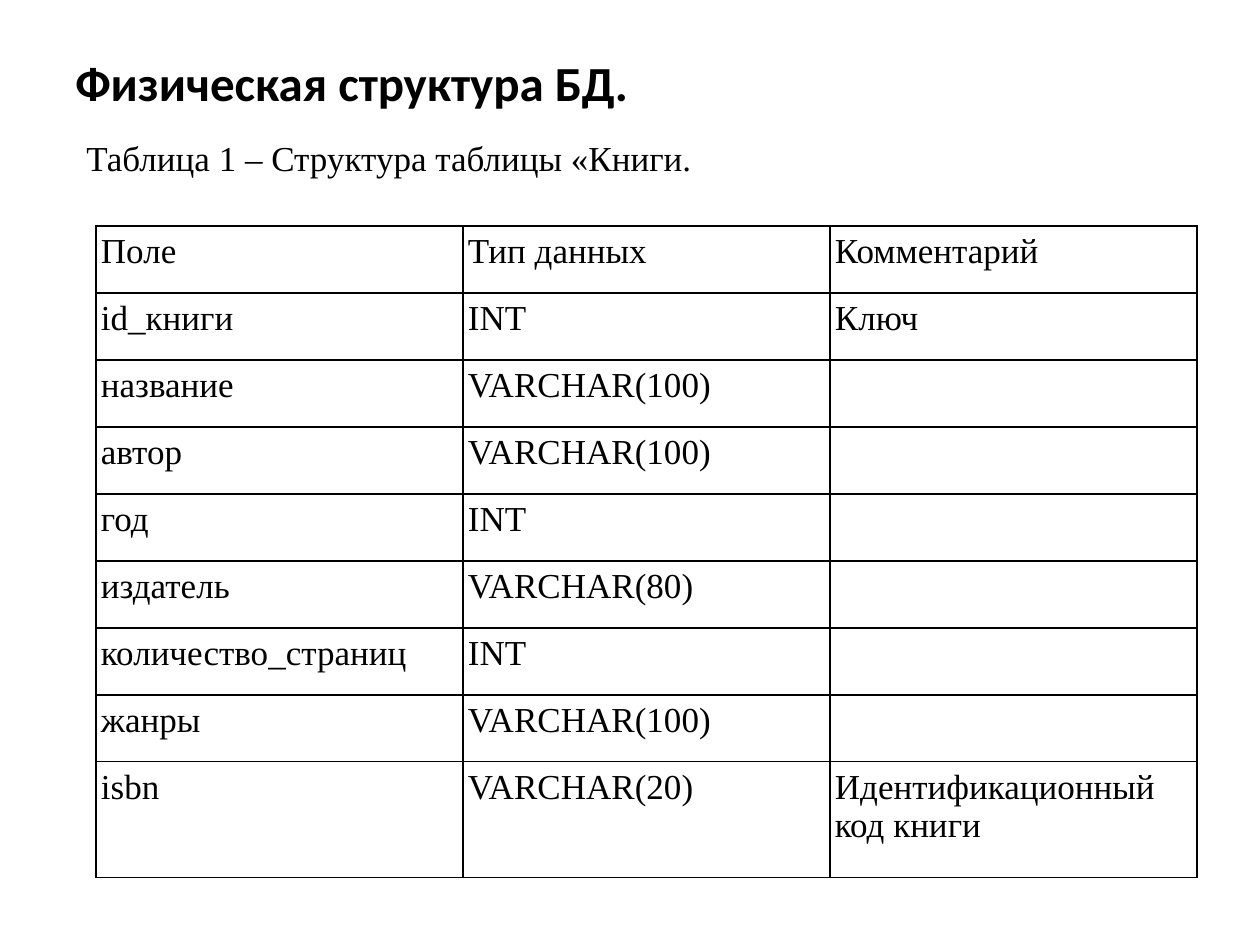
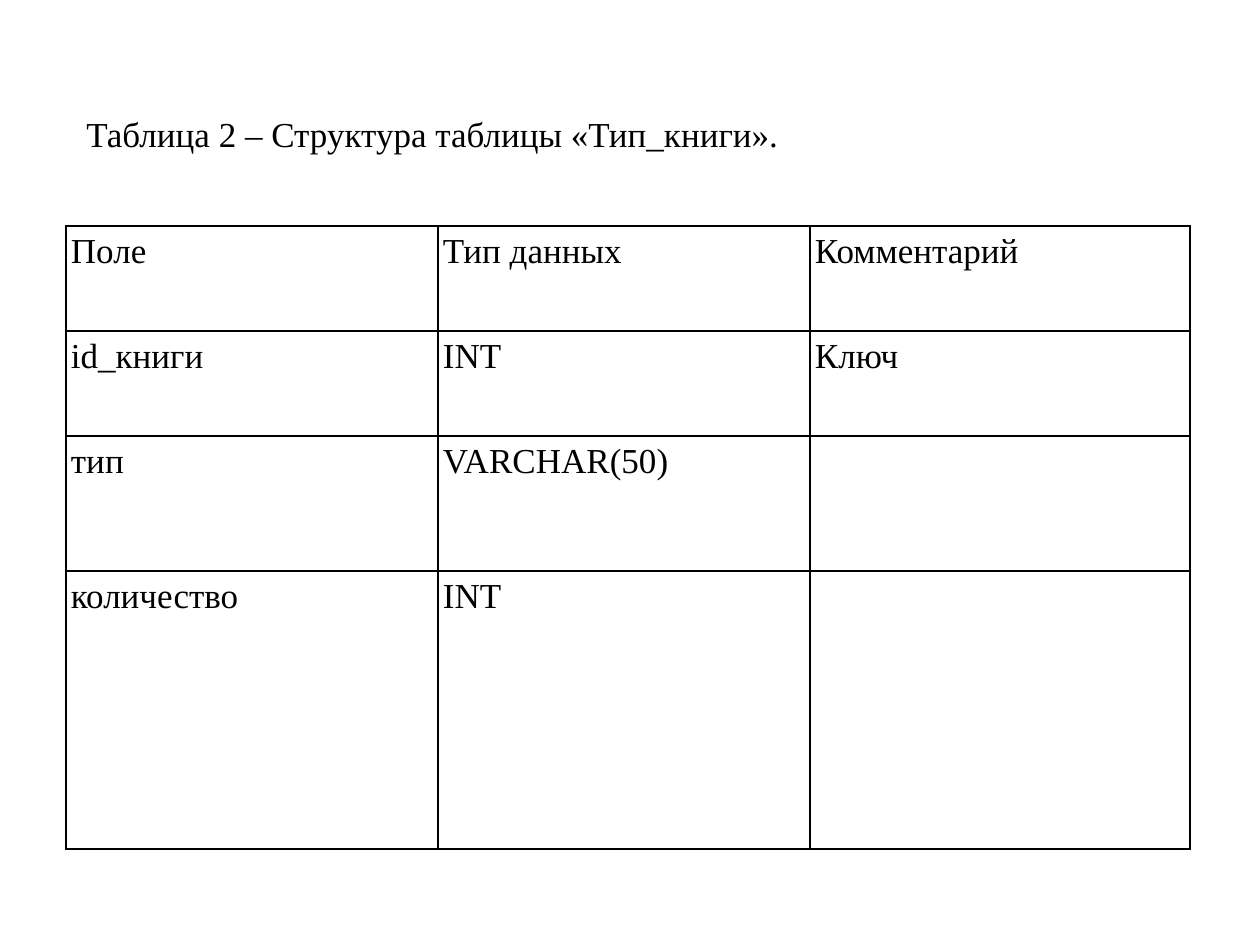
from lxml.etree import SubElement
from pptx import Presentation
from pptx.dml.color import RGBColor
from pptx.enum.text import MSO_ANCHOR, MSO_AUTO_SIZE
from pptx.oxml.ns import qn
from pptx.util import Emu, Pt

INK = RGBColor(0x00, 0x00, 0x00)
PAPER = RGBColor(0xFF, 0xFF, 0xFF)
HEADING_FONT, BODY_FONT = "Calibri", "Times New Roman"
HEADING_SIZE, BODY_SIZE = 28, 20
BORDER = Pt(0.96)
CELL_MARGIN_X, CELL_MARGIN_Y = 5, 6
TABLE_TOP = 226
CAPTION_LEFT, CAPTION_HEIGHT = 74, 55
HEADING_BOX = (63, 38, 1134, 87)

HEADER = ("Поле", "Тип данных", "Комментарий")
KEY_FIELD = ("id_книги", "INT", "Ключ")

SECTIONS = [
    {
        "heading": "Физическая структура БД.",
        "caption": "Таблица 1 – Структура таблицы «Книги.",
        "caption_top": 130,
        "caption_width": 794,
        "table_left": 96,
        "columns": [367] * 3,
        "heights": [67] * 8 + [116],
        "fields": [
            KEY_FIELD,
            ("название", "VARCHAR(100)", ""),
            ("автор", "VARCHAR(100)", ""),
            ("год", "INT", ""),
            ("издатель", "VARCHAR(80)", ""),
            ("количество_страниц", "INT", ""),
            ("жанры", "VARCHAR(100)", ""),
            ("isbn", "VARCHAR(20)", "Идентификационный код книги"),
        ],
    },
    {
        "heading": None,
        "caption": "Таблица 2 – Структура таблицы «Тип_книги».",
        "caption_top": 106,
        "caption_width": 942,
        "table_left": 66,
        "columns": [372, 372, 380],
        "heights": [105, 105, 135, 278],
        "fields": [
            KEY_FIELD,
            ("тип", "VARCHAR(50)", ""),
            ("количество", "INT", ""),
        ],
    },
]


def px(length):
    return Emu(round(length * 914400 / 126))


def style(paragraph, font_name, size, bold=False):
    for part in paragraph.runs or [paragraph]:
        part.font.name = font_name
        part.font.size = Pt(size)
        part.font.bold = bold
        part.font.color.rgb = INK


def add_text(slide, box, text, font_name, size, bold=False):
    frame = slide.shapes.add_textbox(*map(px, box)).text_frame
    frame.word_wrap = True
    frame.text = text
    style(frame.paragraphs[0], font_name, size, bold)
    return frame


def add_borders(cell):
    properties = cell._tc.get_or_add_tcPr()
    for position, side in enumerate(("lnL", "lnR", "lnT", "lnB")):
        line = SubElement(properties, qn(f"a:{side}"), w=str(int(BORDER)))
        fill = SubElement(line, qn("a:solidFill"))
        SubElement(fill, qn("a:srgbClr"), val=str(INK))
        properties.insert(position, line)


def fill_cell(cell, text):
    cell.margin_left = cell.margin_right = px(CELL_MARGIN_X)
    cell.margin_top = cell.margin_bottom = px(CELL_MARGIN_Y)
    cell.fill.background()
    add_borders(cell)
    cell.text_frame.text = text
    paragraph = cell.text_frame.paragraphs[0]
    paragraph.space_after = Pt(10)
    style(paragraph, BODY_FONT, BODY_SIZE)


def add_structure(slide, section):
    records = [HEADER, *section["fields"]]
    columns, heights = section["columns"], section["heights"]
    box = (section["table_left"], TABLE_TOP, sum(columns), sum(heights))
    table = slide.shapes.add_table(len(records), len(columns), *map(px, box)).table
    table.first_row = table.horz_banding = False
    for column, width in zip(table.columns, columns):
        column.width = px(width)
    for row, height, record in zip(table.rows, heights, records):
        row.height = px(height)
        for cell, text in zip(row.cells, record):
            fill_cell(cell, text)


def add_section(deck, section):
    slide = deck.slides.add_slide(deck.slide_layouts[6])
    slide.background.fill.solid()
    slide.background.fill.fore_color.rgb = PAPER
    if section["heading"]:
        heading = add_text(slide, HEADING_BOX, section["heading"],
                           HEADING_FONT, HEADING_SIZE, bold=True)
        heading.vertical_anchor = MSO_ANCHOR.MIDDLE
    caption_box = (CAPTION_LEFT, section["caption_top"],
                   section["caption_width"], CAPTION_HEIGHT)
    caption = add_text(slide, caption_box, section["caption"], BODY_FONT, BODY_SIZE)
    caption.auto_size = MSO_AUTO_SIZE.SHAPE_TO_FIT_TEXT
    add_structure(slide, section)


def main():
    deck = Presentation()
    deck.slide_width, deck.slide_height = px(1260), px(945)
    for section in SECTIONS:
        add_section(deck, section)
    deck.save("out.pptx")


if __name__ == "__main__":
    main()
